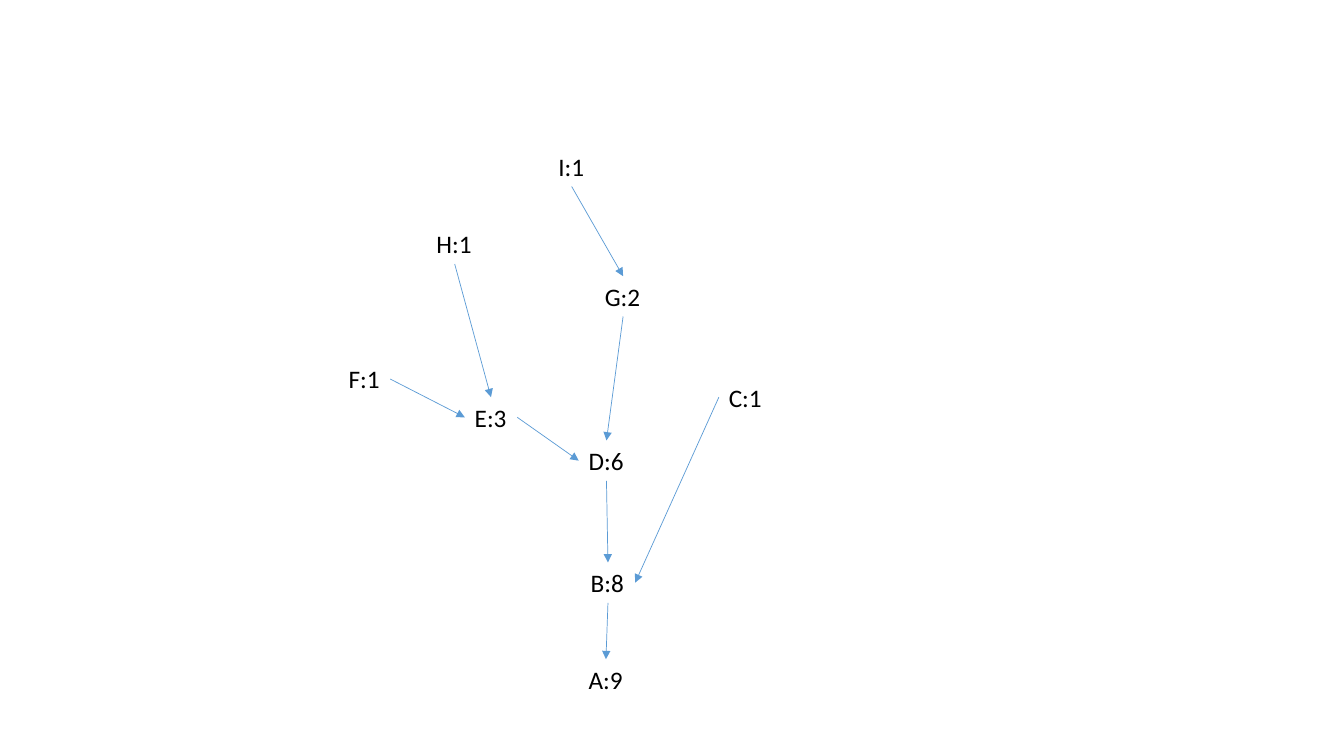
from lxml import etree
from pptx import Presentation
from pptx import util as u
from pptx.dml.color import RGBColor
from pptx.enum import shapes, text
from pptx.oxml.ns import qn

BLACK = RGBColor(0x00, 0x00, 0x00)
BLUE = RGBColor(0x5B, 0x9B, 0xD5)
FONT = "Calibri"
HIGH = 0.4

# name: (count, left, top, width)
NODES = {
    "A": (9, 5.74, 6.54, 0.54),
    "B": (8, 5.76, 5.58, 0.54),
    "C": (1, 7.13, 3.74, 0.53),
    "D": (6, 5.74, 4.37, 0.55),
    "E": (3, 4.61, 3.94, 0.52),
    "F": (1, 3.36, 3.56, 0.51),
    "G": (2, 5.9, 2.74, 0.56),
    "H": (1, 4.23, 2.22, 0.56),
    "I": (1, 5.44, 1.45, 0.46),
}

# Connection sites of a text box
TOP, LEFT, BOTTOM, RIGHT = range(4)

# (child, site, parent, site)
EDGES = [
    ("B", BOTTOM, "A", TOP),
    ("C", LEFT, "B", RIGHT),
    ("D", BOTTOM, "B", TOP),
    ("E", RIGHT, "D", LEFT),
    ("F", RIGHT, "E", LEFT),
    ("G", BOTTOM, "D", TOP),
    ("H", BOTTOM, "E", TOP),
    ("I", BOTTOM, "G", TOP),
]


def add_node(slide, name, count, left, top, width):
    """Add a label such as A:9 and return its box."""
    box = slide.shapes.add_textbox(
        *(u.Inches(n) for n in (left, top, width, HIGH)))
    frame = box.text_frame
    frame.word_wrap = False
    frame.auto_size = text.MSO_AUTO_SIZE.SHAPE_TO_FIT_TEXT
    run = frame.paragraphs[0].add_run()
    run.text = f"{name}:{count}"
    run.font.name = FONT
    run.font.size = u.Pt(18)
    run.font.color.rgb = BLACK
    return box


def add_edge(slide, child, start, parent, end):
    """Add an arrow glued from a child box to its parent box."""
    line = slide.shapes.add_connector(
        shapes.MSO_CONNECTOR.STRAIGHT, 0, 0, 0, 0)
    line.begin_connect(child, start)
    line.end_connect(parent, end)
    line.line.color.rgb = BLUE
    line.line.width = u.Pt(0.5)
    etree.SubElement(line.line._get_or_add_ln(), qn("a:tailEnd"),
                     type="triangle")
    etree.SubElement(line._element.spPr, qn("a:effectLst"))


deck = Presentation()
deck.slide_width = u.Inches(13.33)
deck.slide_height = u.Inches(7.5)
slide = deck.slides.add_slide(deck.slide_layouts[6])

boxes = {name: add_node(slide, name, *spot) for name, spot in NODES.items()}
for child, start, parent, end in EDGES:
    add_edge(slide, boxes[child], start, boxes[parent], end)

deck.save("out.pptx")
